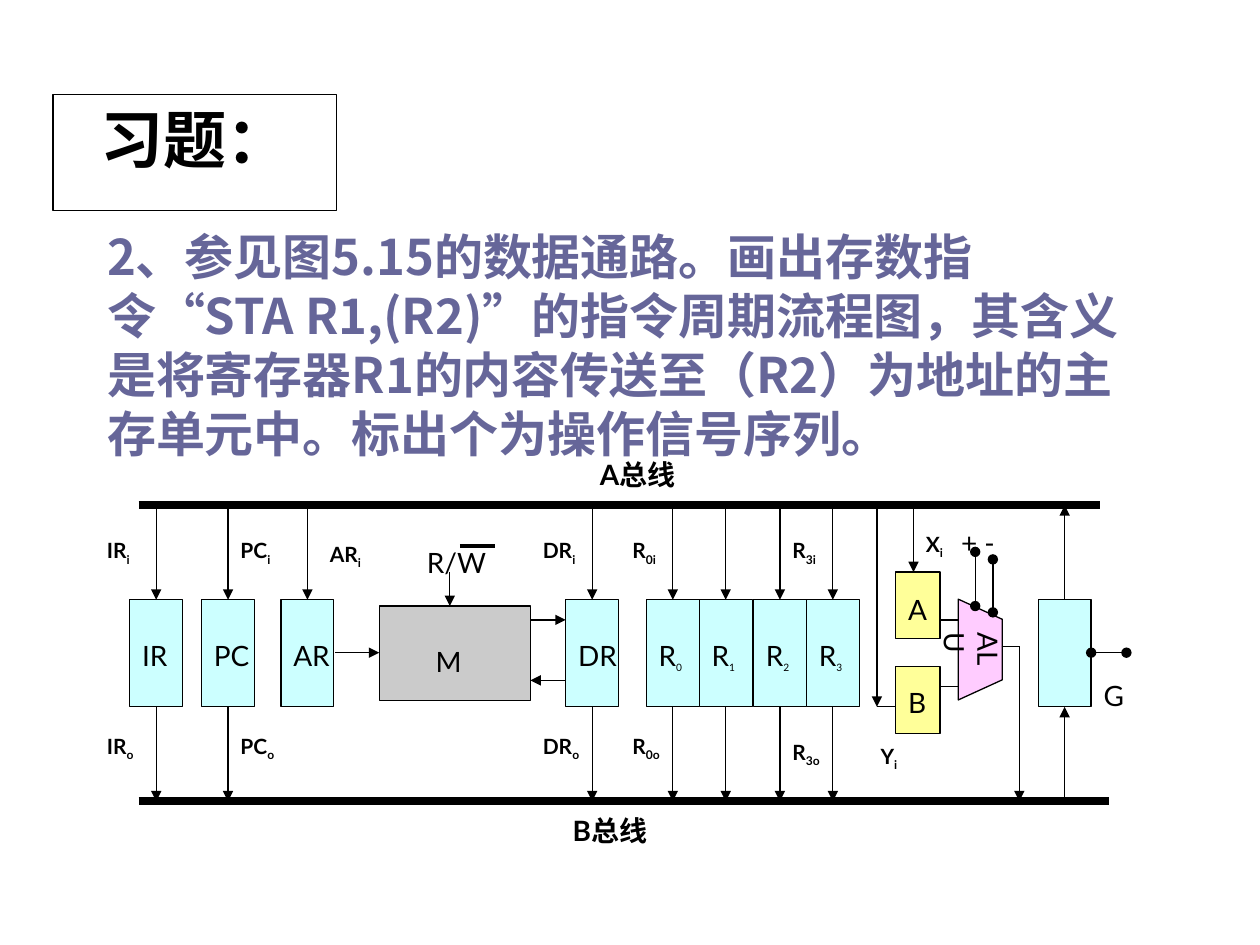
from lxml.etree import SubElement
from pptx import Presentation
from pptx.dml.color import RGBColor
from pptx.enum.shapes import MSO_CONNECTOR, MSO_SHAPE
from pptx.enum.text import MSO_ANCHOR, MSO_AUTO_SIZE, PP_ALIGN
from pptx.oxml.ns import qn
from pptx.util import Inches, Pt

BLACK = RGBColor(0, 0, 0)
WHITE = RGBColor(0xFF, 0xFF, 0xFF)
SLATE = RGBColor(0x66, 0x66, 0x99)
CYAN = RGBColor(0xCC, 0xFF, 0xFF)
GRAY = RGBColor(0xCB, 0xCB, 0xCB)
YELLOW = RGBColor(0xFF, 0xFF, 0x99)
PINK = RGBColor(0xFF, 0xCC, 0xFF)
LATO, NOTO, TIMES = "Lato", "Noto Sans CJK SC", "Times New Roman"

TITLE = "习题："
QUESTION = [
    ("2、参见图5.15的数据通路。画出存数指令", NOTO),
    ("“", TIMES),
    ("STA R1,(R2)", NOTO),
    ("”", TIMES),
    ("的指令周期流程图，其含义是将寄存器R1的内容传送至（R2）为地址的主存单元中。标出个为操作信号序列。", NOTO),
]

BUS_A, BUS_B = 4.01, 6.36
REGISTER_TOP, REGISTER_WIDTH, REGISTER_HEIGHT = 4.76, 0.42, 0.85
REGISTER_BOTTOM = REGISTER_TOP + REGISTER_HEIGHT
REGISTERS = [
    ("IR", "", 1.03, True), ("PC", "", 1.6, True), ("AR", "", 2.23, False),
    ("DR", "", 4.49, True), ("R", "0", 5.13, True), ("R", "1", 5.55, True),
    ("R", "2", 5.98, True), ("R", "3", 6.4, True),
]
BLOCKS = [
    (3.01, 4.81, 1.2, 0.75, GRAY),
    (7.11, 4.54, 0.35, 0.53, YELLOW),
    (7.11, 5.29, 0.35, 0.53, YELLOW),
    (8.24, REGISTER_TOP, REGISTER_WIDTH, REGISTER_HEIGHT, CYAN),
]
WIRES = [
    (8.45, REGISTER_TOP, 8.45, BUS_A, None, "triangle"),
    (8.45, BUS_B, 8.45, REGISTER_BOTTOM, None, "triangle"),
    (7.46, 4.92, 7.6, 4.92, None, None),
    (7.46, 5.45, 7.6, 5.45, None, None),
    (7.25, BUS_A, 7.25, 4.54, None, "triangle"),
    (6.96, BUS_A, 6.96, 5.61, None, "triangle"),
    (6.96, 5.61, 7.11, 5.61, None, None),
    (7.95, 5.13, 8.09, 5.13, None, None),
    (8.09, 5.13, 8.09, BUS_B, None, "triangle"),
    (7.74, 4.81, 7.74, 4.38, "oval", "oval"),
    (7.88, 4.86, 7.88, 4.44, "oval", "oval"),
    (2.66, 5.18, 3.01, 5.18, None, "triangle"),
    (4.21, 4.92, 4.49, 4.92, None, "triangle"),
    (4.49, 5.4, 4.21, 5.4, None, "triangle"),
    (8.66, 5.18, 8.94, 5.18, "oval", "oval"),
    (3.57, 4.54, 3.57, 4.81, None, "triangle"),
]
SIGNALS = [
    ("IR", "i", 0.75, 4.22), ("IR", "o", 0.75, 5.77),
    ("PC", "i", 1.81, 4.22), ("PC", "o", 1.81, 5.77),
    ("AR", "i", 2.52, 4.25),
    ("DR", "i", 4.21, 4.22), ("DR", "o", 4.21, 5.77),
    ("R", "0i", 4.92, 4.22), ("R", "0o", 4.92, 5.77),
    ("R", "3i", 6.19, 4.22), ("R", "3o", 6.19, 5.82),
    ("X", "i", 7.25, 4.17), ("Y", "i", 6.89, 5.85),
]
NAMES = [
    ("M", 3.36, 5.07, 0.92), ("A", 7.11, 4.65, 0.42), ("B", 7.11, 5.39, 0.42),
    ("G", 8.66, 5.34, 0.42), ("+ -", 7.53, 4.12, 0.99), ("R/W", 3.29, 4.28, 1.06),
]
BUS_NAMES = [("A总线", 3.86, 3.58), ("B总线", 3.64, 6.41)]


def format_span(span, size, color=BLACK, bold=False, face=LATO):
    font = span.font
    font.size, font.bold, font.name = Pt(size), bold, face
    font.color.rgb = color
    SubElement(span._r.get_or_add_rPr(), qn("a:ea")).set("typeface", NOTO)


def place(shape, left, top, width, height):
    shape.left, shape.top = Inches(left), Inches(top)
    shape.width, shape.height = Inches(width), Inches(height)


def add_block(group, left, top, width, height, color, preset=MSO_SHAPE.RECTANGLE):
    block = group.shapes.add_shape(
        preset, Inches(left), Inches(top), Inches(width), Inches(height))
    block.shadow.inherit = False
    block.fill.solid()
    block.fill.fore_color.rgb = color
    block.line.color.rgb = BLACK
    block.line.width = Pt(0.75)
    return block


def add_wire(group, x1, y1, x2, y2, head=None, tail=None, width=0.75):
    wire = group.shapes.add_connector(
        MSO_CONNECTOR.STRAIGHT, Inches(x1), Inches(y1), Inches(x2), Inches(y2))
    wire.line.color.rgb = BLACK
    wire.line.width = Pt(width)
    for tag, kind in (("a:headEnd", head), ("a:tailEnd", tail)):
        if kind:
            SubElement(wire.line._get_or_add_ln(), qn(tag)).set("type", kind)
    SubElement(wire._element.spPr, qn("a:effectLst"))


def add_label(group, text, left, top, width, height=0.37, size=16, bold=False,
              subscript="", subscript_size=10, align=PP_ALIGN.LEFT):
    box = group.shapes.add_textbox(
        Inches(left), Inches(top), Inches(width), Inches(height))
    box.text_frame.word_wrap = True
    para = box.text_frame.paragraphs[0]
    para.text = text
    para.alignment = align
    format_span(para.runs[0], size, bold=bold)
    if subscript:
        span = para.add_run()
        span.text = subscript
        format_span(span, subscript_size, bold=bold)
        span.font._element.set("baseline", "-25000")
    return box


def write_title(title):
    place(title, 0.42, 0.75, 2.25, 0.92)
    title.fill.solid()
    title.fill.fore_color.rgb = WHITE
    title.line.color.rgb = BLACK
    title.line.width = Pt(0.75)
    frame = title.text_frame
    frame.text = TITLE
    frame.vertical_anchor = MSO_ANCHOR.TOP
    frame.auto_size = MSO_AUTO_SIZE.NONE
    frame.paragraphs[0].alignment = PP_ALIGN.CENTER
    format_span(frame.paragraphs[0].runs[0], 36, bold=True, face=TIMES)


def write_question(body):
    place(body, 0.75, 1.75, 8.5, 4.5)
    body.text_frame.auto_size = MSO_AUTO_SIZE.NONE
    para = body.text_frame.paragraphs[0]
    para.space_before = Pt(0)
    para.line_spacing = Pt(33.7)
    properties = para._p.get_or_add_pPr()
    properties.set("marL", "0")
    properties.set("indent", "0")
    SubElement(properties, qn("a:buNone"))
    for text, face in QUESTION:
        span = para.add_run()
        span.text = text
        format_span(span, 28, SLATE, True, face)


def draw_data_path(group):
    add_wire(group, 1.1, BUS_A, 8.73, BUS_A, width=4.5)
    add_wire(group, 1.1, BUS_B, 8.8, BUS_B, width=4.5)
    for name, number, left, has_output in REGISTERS:
        center = left + REGISTER_WIDTH / 2
        add_block(group, left, REGISTER_TOP, REGISTER_WIDTH, REGISTER_HEIGHT, CYAN)
        add_label(group, name, left, 5.02, 0.64, subscript=number)
        add_wire(group, center, BUS_A, center, REGISTER_TOP, tail="triangle")
        if has_output:
            add_wire(group, center, REGISTER_BOTTOM, center, BUS_B, tail="triangle")
    for block in BLOCKS:
        add_block(group, *block)
    alu = add_block(group, 7.38, 4.98, 0.8, 0.35, PINK,
                    MSO_SHAPE.FLOWCHART_MANUAL_OPERATION)
    alu.rotation = 270
    for wire in WIRES:
        add_wire(group, *wire)
    add_wire(group, 3.65, 4.33, 3.93, 4.33, width=2.25)
    for name in NAMES:
        add_label(group, *name)
    for name, subscript, left, top in SIGNALS:
        add_label(group, name, left, top, 0.6, 0.33, 12, True, subscript, 12)
    for name, left, top in BUS_NAMES:
        add_label(group, name, left, top, 2.4, bold=True, align=PP_ALIGN.CENTER)
    frame = add_label(group, "ALU", 7.57, 4.92, 0.46, 0.53).text_frame
    frame.margin_left = frame.margin_right = Inches(0.05)
    frame.margin_top = frame.margin_bottom = Inches(0.1)
    frame._txBody.bodyPr.set("vert", "eaVert")


def main():
    deck = Presentation()
    deck.slide_width, deck.slide_height = Inches(10), Inches(7.5)
    page = deck.slides.add_slide(deck.slide_layouts[1])
    write_title(page.shapes.title)
    write_question(page.placeholders[1])
    draw_data_path(page.shapes.add_group_shape())
    deck.save("out.pptx")


if __name__ == "__main__":
    main()
